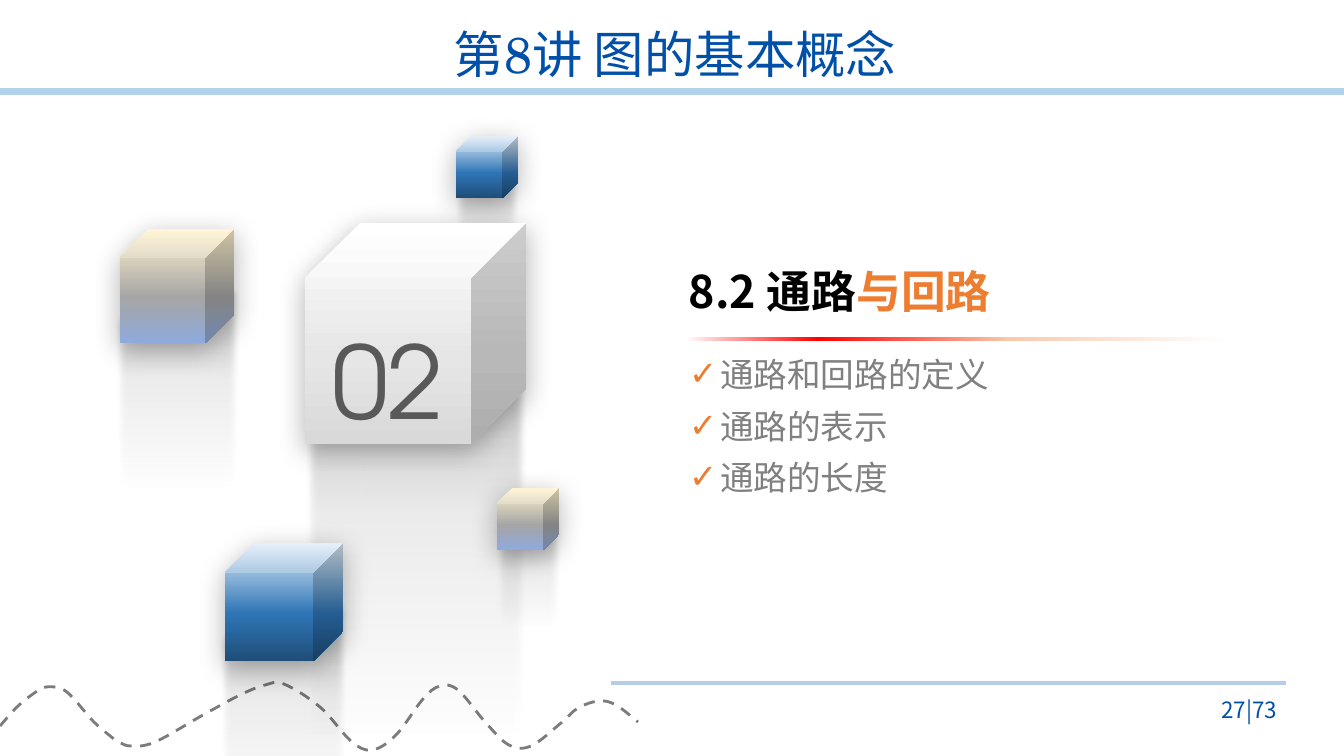
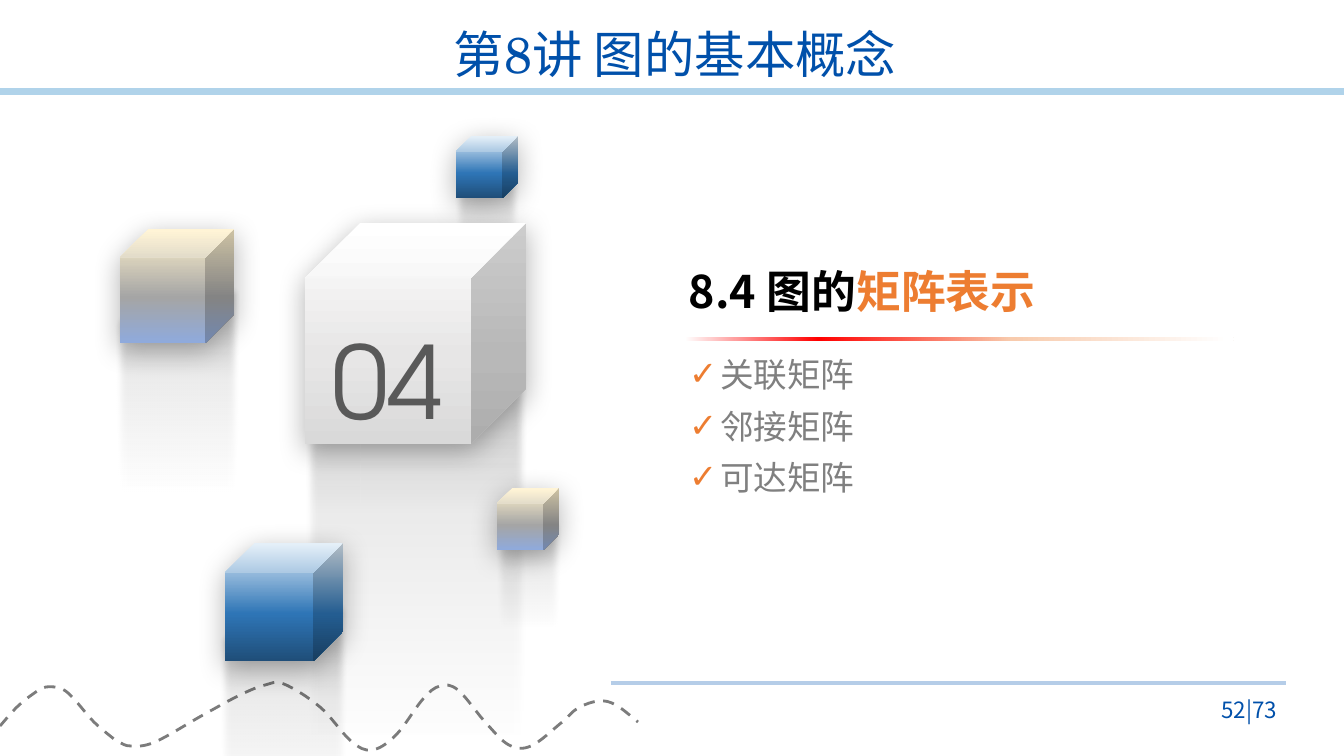
from lxml.etree import SubElement
from pptx import Presentation
from pptx.dml.color import RGBColor
from pptx.enum.dml import MSO_LINE
from pptx.enum.shapes import MSO_CONNECTOR, MSO_SHAPE
from pptx.enum.text import MSO_ANCHOR, MSO_AUTO_SIZE, PP_ALIGN
from pptx.oxml.ns import qn
from pptx.util import Pt

EMU_PER_PX = 914400 / 100.8
WIDTH, HEIGHT = 1344, 756

HAN_FONT = "Noto Sans CJK SC"
TITLE_FONT = "TeX Gyre Schola"
NUMBER_FONT = "TeX Gyre Adventor"

NAVY, ORANGE, BLACK = "0050AA", "ED7D31", "000000"
BODY_GREY, NUMBER_GREY, WAVE_GREY = "808080", "595959", "7C7C7C"
BAND, FOOTER_LINE = "B0D3EA", "B5CDE8"

# Gradient stops: position in percent, colour, opacity in percent
BLUE = [(1, "DEEBF7", 100), (60, "2E75B6", 100), (100, "1F4E79", 100)]
CREAM = [(1, "FFF2CC", 100), (60, "A5A5A5", 100), (100, "8FAADC", 100)]
WHITE = [(0, "FFFFFF", 100), (60, "E7E6E6", 100), (100, "D9D9D9", 100)]
REFLECTION = [(30, BLACK, 0), (50, BLACK, 4), (70, BLACK, 8), (100, "262626", 30)]
RULE = [(1, "FFFFFF", 100), (25, "FF0000", 100), (60, "F8CBAD", 100), (99, "FFFFFF", 100)]

# Cubes from back to front: left, top, size, overhang of reflection, stops
CUBES = [
    (456, 136, 62, 3, BLUE),
    (305, 223, 221, 1, WHITE),
    (225, 543, 118, 6, BLUE),
    (497, 488, 62, 3, CREAM),
    (120, 229, 114, 6, CREAM),
]
WAVE = [
    (0, 726), (17, 707), (33, 694), (46, 687), (62, 689), (74, 699),
    (93, 721), (109, 735), (119, 742), (131, 746), (155, 742), (203, 715),
    (240, 695), (265, 685), (284, 684), (320, 707), (351, 741), (372, 750),
    (396, 735), (423, 699), (440, 686), (458, 690), (486, 723), (509, 745),
    (531, 746), (561, 723), (578, 708), (599, 701), (616, 705), (638, 722),
]

LECTURE = "第8讲 图的基本概念"
SECTIONS = [
    ("02", "8.2 通路", "与回路", ["通路和回路的定义", "通路的表示", "通路的长度"], "27|73"),
    ("04", "8.4 图的", "矩阵表示", ["关联矩阵", "邻接矩阵", "可达矩阵"], "52|73"),
]


def px(*lengths):
    return [round(length * EMU_PER_PX) for length in lengths]


def rgb(colour):
    return RGBColor.from_string(colour)


def style_run(run, size, colour, font=HAN_FONT, bold=False):
    run.font.size = Pt(size)
    run.font.bold = bold
    run.font.color.rgb = rgb(colour)
    run.font.name = font
    SubElement(run.font._element, qn("a:ea"), typeface=HAN_FONT)


def move(shape, box):
    shape.left, shape.top, shape.width, shape.height = px(*box)


def set_frame(frame, anchor):
    frame.word_wrap = True
    frame.auto_size = MSO_AUTO_SIZE.NONE
    frame.vertical_anchor = anchor


def add_text(slide, box, anchor):
    frame = slide.shapes.add_textbox(*px(*box)).text_frame
    set_frame(frame, anchor)
    return frame


def fill_gradient(shape, stops, clockwise):
    shape.fill.gradient()
    shape.fill.gradient_angle = (360 - clockwise) % 360
    stop_list = shape.element.spPr.find(".//" + qn("a:gsLst"))
    for old_stop in list(stop_list):
        stop_list.remove(old_stop)
    for position, colour, opacity in stops:
        stop = SubElement(stop_list, qn("a:gs"), pos=str(position * 1000))
        tint = SubElement(stop, qn("a:srgbClr"), val=colour)
        if opacity < 100:
            SubElement(tint, qn("a:alpha"), val=str(opacity * 1000))


def add_gradient_shape(shapes, kind, box, stops, clockwise=90):
    shape = shapes.add_shape(kind, *px(*box))
    shape.shadow.inherit = False
    shape.line.fill.background()
    fill_gradient(shape, stops, clockwise)
    return shape


def add_effect(shape, tag, **settings):
    effects = shape.element.spPr.find(qn("a:effectLst"))
    return SubElement(effects, qn(tag), **settings)


def add_cube(slide, left, top, size, overhang, stops):
    """Add a cube with a soft shadow, above its fading reflection."""
    shapes = slide.shapes.add_group_shape().shapes
    reflection_box = (left - overhang, top + size / 2, size + 2 * overhang, size * 2.71)
    reflection = add_gradient_shape(shapes, MSO_SHAPE.CUBE, reflection_box, REFLECTION)
    reflection.rotation = 180
    add_effect(reflection, "a:softEdge", rad=str(Pt(5)))
    cube = add_gradient_shape(shapes, MSO_SHAPE.CUBE, (left, top, size, size), stops)
    shadow = add_effect(cube, "a:outerShdw", blurRad=str(Pt(20)), dist=str(Pt(5)),
                        dir="5400000", algn="t", rotWithShape="0")
    shade = SubElement(shadow, qn("a:srgbClr"), val=BLACK)
    SubElement(shade, qn("a:alpha"), val="30000")
    return cube


def add_cubes(slide, number):
    for left, top, size, overhang, stops in CUBES:
        cube = add_cube(slide, left, top, size, overhang, stops)
        if stops is WHITE:
            frame = cube.text_frame
            set_frame(frame, MSO_ANCHOR.MIDDLE)
            label = frame.paragraphs[0]
            label.text = number
            label.alignment = PP_ALIGN.CENTER
            label.line_spacing = 1.3
            style_run(label.runs[0], 72, NUMBER_GREY, NUMBER_FONT)


def curve_segments(shape):
    """Turn the straight segments of a freeform into a smooth curve."""
    outline = shape.element.spPr.find(".//" + qn("a:path"))
    knots = [(int(pt.get("x")), int(pt.get("y"))) for pt in outline.iter(qn("a:pt"))]
    for segment in outline.findall(qn("a:lnTo")):
        outline.remove(segment)
    padded = [knots[0], *knots, knots[-1]]
    for before, start, end, after in zip(padded, padded[1:], padded[2:], padded[3:]):
        leaving = [s + (e - b) / 6 for b, s, e in zip(before, start, end)]
        arriving = [e - (a - s) / 6 for s, e, a in zip(start, end, after)]
        curve = SubElement(outline, qn("a:cubicBezTo"))
        for x, y in (leaving, arriving, end):
            SubElement(curve, qn("a:pt"), x=str(round(x)), y=str(round(y)))


def add_line(slide, left, right, y, colour, width):
    line = slide.shapes.add_connector(MSO_CONNECTOR.STRAIGHT, *px(left, y, right, y))
    line.line.color.rgb = rgb(colour)
    line.line.width = Pt(width)
    SubElement(line.element.spPr, qn("a:effectLst"))
    return line


def add_wave(slide):
    builder = slide.shapes.build_freeform(*px(*WAVE[0]), scale=1.0)
    builder.add_line_segments([px(*point) for point in WAVE[1:]], close=False)
    wave = builder.convert_to_shape()
    curve_segments(wave)
    wave.shadow.inherit = False
    wave.fill.background()
    wave.line.color.rgb = rgb(WAVE_GREY)
    wave.line.width = Pt(2)
    wave.line.dash_style = MSO_LINE.DASH
    return wave


def decorate_layout(layout, slide):
    """Draw the shared lines with the slide's shape tools and move them to the layout."""
    decorations = [
        add_line(slide, 0, WIDTH, 92, BAND, 5),
        add_line(slide, 611, 1286, 683, FOOTER_LINE, 2.25),
        add_wave(slide),
    ]
    for decoration in decorations:
        layout.shapes.element.append(decoration.element)


def add_title(slide):
    title = slide.shapes.title
    move(title, (159, 24, 1032, 66))
    set_frame(title.text_frame, MSO_ANCHOR.MIDDLE)
    lecture = title.text_frame.paragraphs[0]
    lecture.text = LECTURE
    lecture.alignment = PP_ALIGN.CENTER
    lecture.line_spacing = 0.9
    style_run(lecture.runs[0], 36, NAVY, TITLE_FONT)


def add_check_mark(paragraph):
    indent = px(31)[0]
    properties = paragraph._p.get_or_add_pPr()
    properties.set("marL", str(indent))
    properties.set("indent", str(-indent))
    bullet_colour = SubElement(properties, qn("a:buClr"))
    SubElement(bullet_colour, qn("a:srgbClr"), val=ORANGE)
    SubElement(properties, qn("a:buChar"), char="✓")


def add_topics(slide, box, topics):
    body = slide.placeholders[1]
    move(body, box)
    frame = body.text_frame
    set_frame(frame, MSO_ANCHOR.TOP)
    frame.text = "\n".join(topics)
    for index, topic in enumerate(frame.paragraphs):
        add_check_mark(topic)
        topic.space_before = Pt(8 if index else 0)
        style_run(topic.runs[0], 24, BODY_GREY)


def add_section(slide, left, top, opening, accent, topics):
    """Place heading, rule and topics from the given corner."""
    heading = add_text(slide, (left, top, 555, 64), MSO_ANCHOR.BOTTOM).paragraphs[0]
    for words, colour in ((opening, BLACK), (accent, ORANGE)):
        run = heading.add_run()
        run.text = words
        style_run(run, 32, colour, bold=True)
    rule = add_gradient_shape(slide.shapes, MSO_SHAPE.ROUNDED_RECTANGLE,
                              (left, top + 79, 555, 4), RULE, clockwise=0)
    rule.adjustments[0] = 0.5
    add_topics(slide, (left, top + 91, 565, 156), topics)


def add_page_number(slide, page):
    number = add_text(slide, (1181, 690, 106, 40), MSO_ANCHOR.MIDDLE).paragraphs[0]
    number.text = page
    number.alignment = PP_ALIGN.RIGHT
    style_run(number.runs[0], 16, NAVY)


def build_section_slide(slide, number, opening, accent, topics, page):
    add_cubes(slide, number)
    add_section(slide, 679, 258, opening, accent, topics)
    add_title(slide)
    add_page_number(slide, page)


def main():
    presentation = Presentation()
    presentation.slide_width, presentation.slide_height = px(WIDTH, HEIGHT)
    layout = presentation.slide_layouts[1]
    slides = [presentation.slides.add_slide(layout) for _ in SECTIONS]
    decorate_layout(layout, slides[0])
    for slide, section in zip(slides, SECTIONS):
        build_section_slide(slide, *section)
    presentation.save("out.pptx")


if __name__ == "__main__":
    main()
